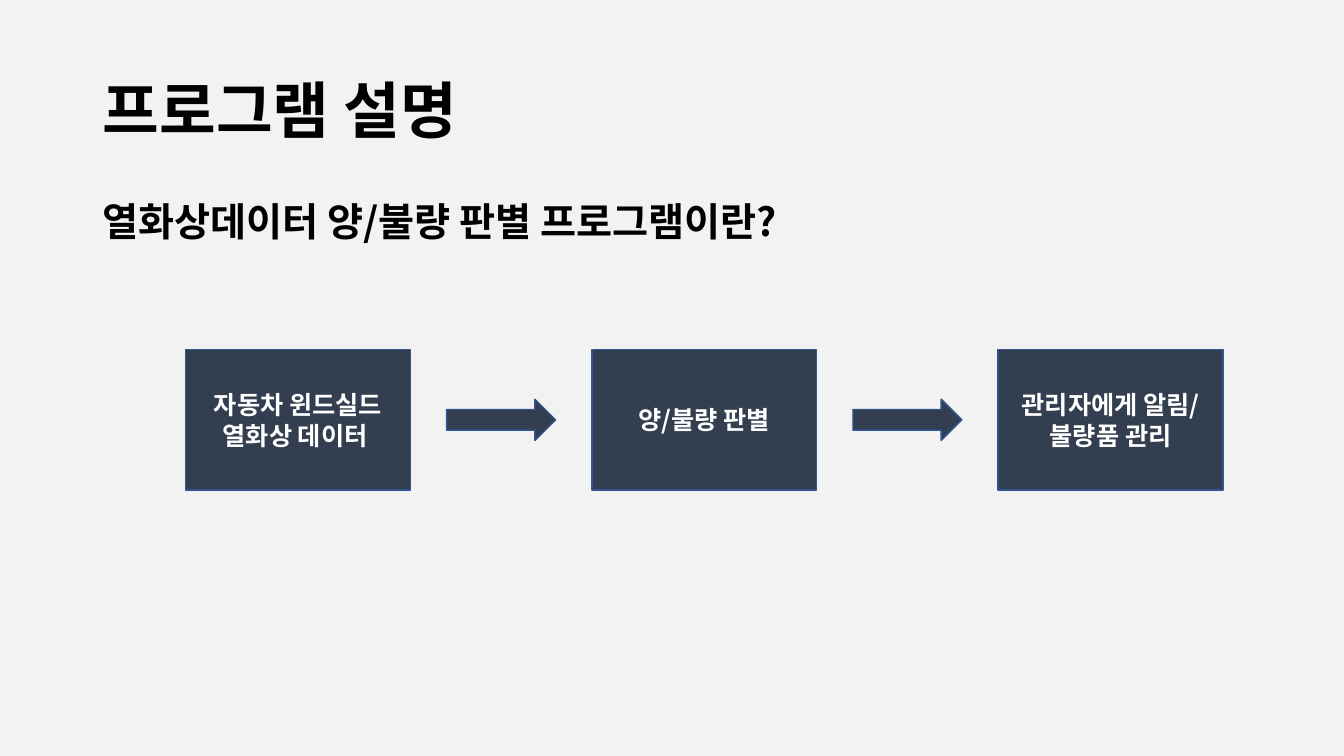
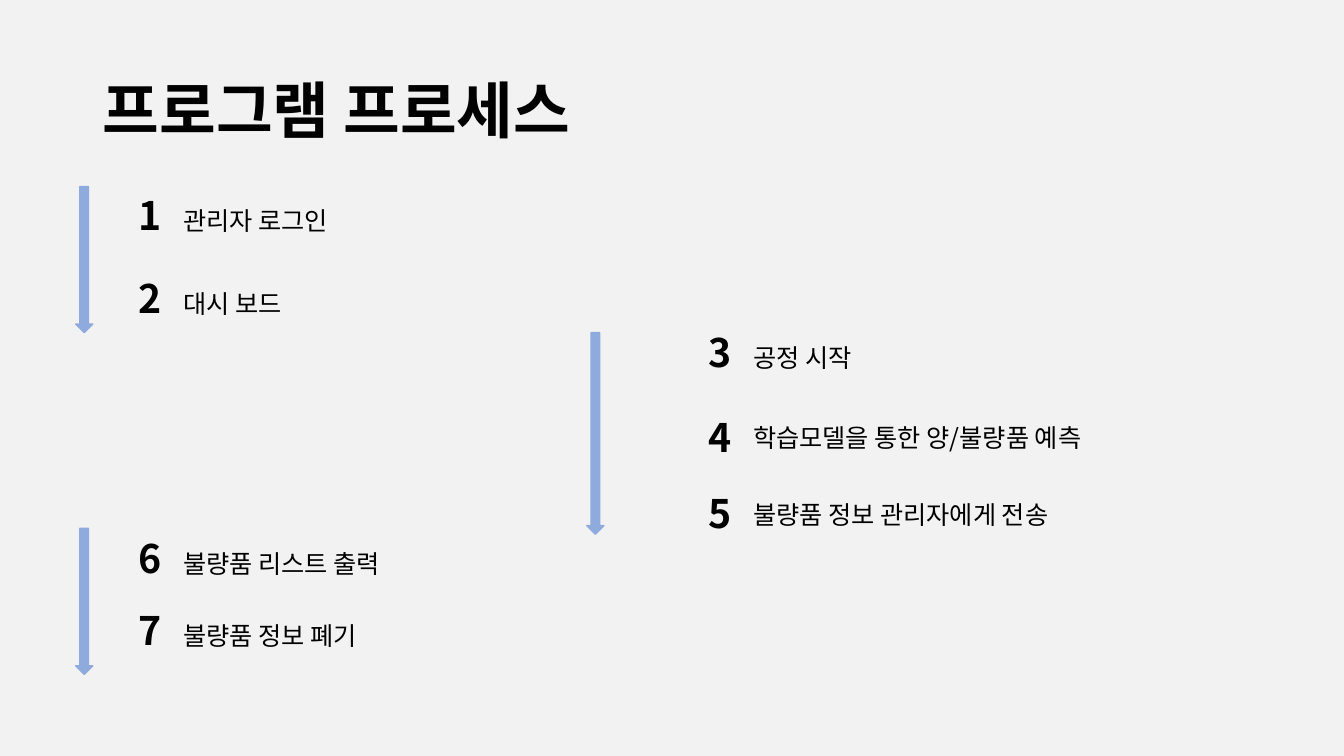
from dataclasses import dataclass

from pptx import Presentation
from pptx import util as u
from pptx.dml.color import RGBColor
from pptx.enum import shapes, text
from pptx.oxml.ns import qn

PX = 9144  # EMU per px, 100 px to the inch
FONT = "Noto Sans CJK KR"
PAPER, INK, WHITE = "F2F2F2", "000000", "FFFFFF"
NAVY, EDGE, SKY = "333F50", "325491", "8FAADC"
LEFT, WIDE = 92, 1150


@dataclass
class Box:
    x: int
    y: int
    w: int
    h: int

    def emu(self) -> list[int]:
        return [v * PX for v in (self.x, self.y, self.w, self.h)]


@dataclass
class Step:
    y: int
    label: str
    width: int
    drop: int = 14  # from the number's top to the label's top


@dataclass
class Group:
    x: int
    arrow: Box
    steps: list[Step]


FLOW = ["자동차 윈드실드\n열화상 데이터 ", "양/불량 판별", "관리자에게 알림/\n불량품 관리"]
CARD = Box(184, 347, 223, 139)
LINK = Box(0, 396, 108, 41)
GAP = 36

GROUPS = [
    Group(128, Box(75, 185, 17, 145), [
        Step(185, "관리자 로그인", 192),
        Step(267, "대시 보드", 192),
    ]),
    Group(693, Box(582, 330, 17, 200), [
        Step(321, "공정 시작", 192),
        Step(405, "학습모델을 통한 양/불량품 예측", 415, 9),
        Step(481, "불량품 정보 관리자에게 전송", 415, 9),
    ]),
    Group(128, Box(75, 524, 17, 145), [
        Step(525, "불량품 리스트 출력", 315),
        Step(597, "불량품 정보 폐기", 330),
    ]),
]


def color(code: str) -> RGBColor:
    return RGBColor.from_string(code)


def write(frame, words: str, *, size: int, ink: str = INK, bold: bool = False,
          align=text.PP_ALIGN.LEFT, anchor=text.MSO_ANCHOR.TOP,
          lines: float = 1.0, before: int = 0) -> None:
    frame.word_wrap = True
    frame.vertical_anchor = anchor
    for i, line in enumerate(words.split("\n")):
        para = frame.paragraphs[0] if i == 0 else frame.add_paragraph()
        para.alignment = align
        para.line_spacing = lines
        para.space_before = u.Pt(before)
        run = para.add_run()
        run.text = line
        font = run.font
        font.name, font.size, font.bold = FONT, u.Pt(size), bold
        font.color.rgb = color(ink)
        # Hangul takes its face from a:ea, which must follow a:latin
        east = run._r.get_or_add_rPr().makeelement(qn("a:ea"), {"typeface": FONT})
        font._element.find(qn("a:latin")).addnext(east)


def label(slide, box: Box, words: str, *, grow: bool = False, **style) -> None:
    frame = slide.shapes.add_textbox(*box.emu()).text_frame
    write(frame, words, **style)
    if grow:
        frame.auto_size = text.MSO_AUTO_SIZE.SHAPE_TO_FIT_TEXT


def block(slide, kind, box: Box, fill: str, edge: str):
    shape = slide.shapes.add_shape(kind, *box.emu())
    shape.shadow.inherit = False
    shape.fill.solid()
    shape.fill.fore_color.rgb = color(fill)
    shape.line.color.rgb = color(edge)
    shape.line.width = u.Pt(1)
    return shape


def page(prs, title: str):
    """Add a blank slide with the shared title."""
    slide = prs.slides.add_slide(prs.slide_layouts[6])
    label(slide, Box(LEFT, 40, WIDE, 145), title, size=44, bold=True,
          anchor=text.MSO_ANCHOR.MIDDLE, lines=0.9)
    return slide


def about(prs) -> None:
    slide = page(prs, "프로그램 설명")
    label(slide, Box(LEFT, 200, WIDE, 49), "열화상데이터 양/불량 판별 프로그램이란?",
          size=28, bold=True, lines=0.8, before=10)
    pitch = CARD.w + LINK.w + 2 * GAP
    for i, words in enumerate(FLOW):
        x = CARD.x + i * pitch
        if i:
            block(slide, shapes.MSO_SHAPE.RIGHT_ARROW,
                  Box(x - GAP - LINK.w, LINK.y, LINK.w, LINK.h), NAVY, EDGE)
        card = block(slide, shapes.MSO_SHAPE.RECTANGLE,
                     Box(x, CARD.y, CARD.w, CARD.h), NAVY, EDGE)
        write(card.text_frame, words, size=18, ink=WHITE, bold=True,
              align=text.PP_ALIGN.CENTER, anchor=text.MSO_ANCHOR.MIDDLE)


def process(prs) -> None:
    slide = page(prs, "프로그램 프로세스")
    count = 0
    for group in GROUPS:
        block(slide, shapes.MSO_SHAPE.DOWN_ARROW, group.arrow, SKY, SKY)
        for step in group.steps:
            count += 1
            label(slide, Box(group.x, step.y, 43, 57), str(count),
                  size=28, bold=True, grow=True)
            label(slide, Box(group.x + 44, step.y + step.drop, step.width, 40),
                  step.label, size=18, grow=True)


def main() -> None:
    prs = Presentation()
    prs.slide_width, prs.slide_height = 1333 * PX, 750 * PX
    back = prs.slide_master.background.fill
    back.solid()
    back.fore_color.rgb = color(PAPER)
    about(prs)
    process(prs)
    prs.save("out.pptx")


if __name__ == "__main__":
    main()
